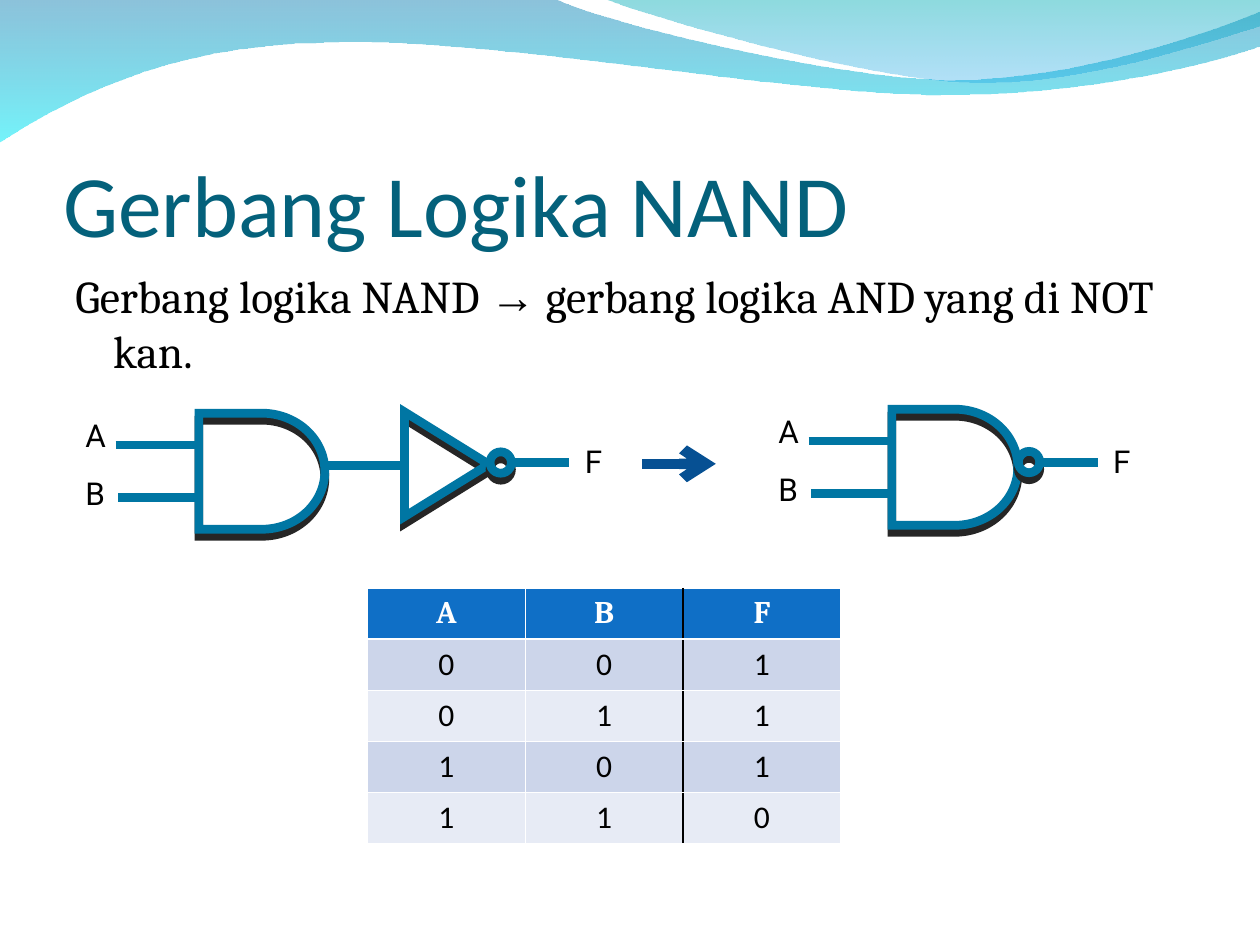
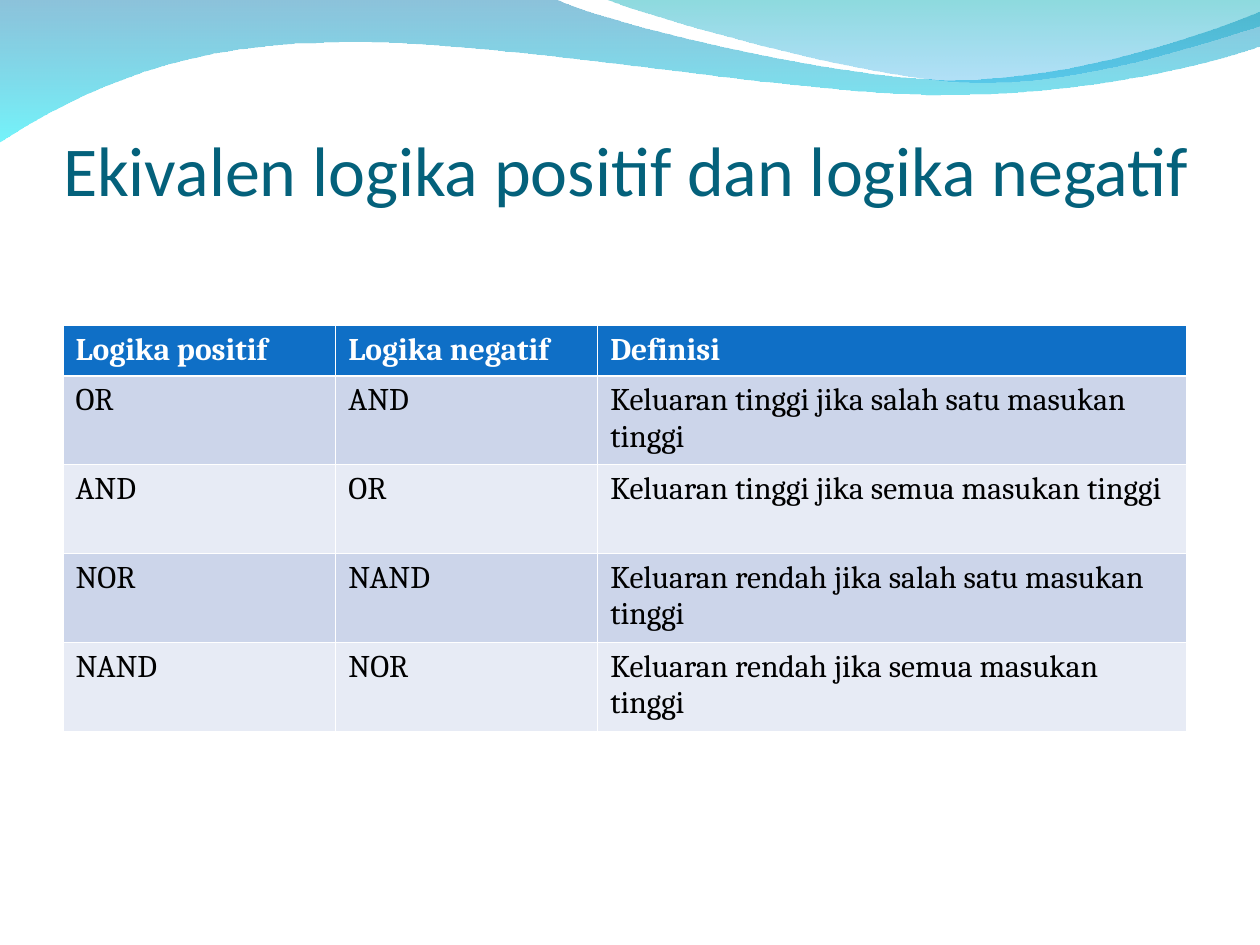
"""Build two slides on the NAND gate and on equivalent positive and negative logic."""
from lxml.etree import SubElement
from pptx import Presentation
from pptx.dml.color import RGBColor
from pptx.enum.shapes import MSO_CONNECTOR, MSO_SHAPE
from pptx.enum.text import MSO_ANCHOR, MSO_AUTO_SIZE, PP_ALIGN
from pptx.oxml.ns import qn
from pptx.util import Cm, Pt

STRAIGHT = MSO_CONNECTOR.STRAIGHT
DELAY, ELLIPSE = MSO_SHAPE.FLOWCHART_DELAY, MSO_SHAPE.OVAL
TRIANGLE = MSO_SHAPE.ISOSCELES_TRIANGLE
BOTTOM = MSO_ANCHOR.BOTTOM
NO_FIT, GROW = MSO_AUTO_SIZE.NONE, MSO_AUTO_SIZE.SHAPE_TO_FIT_TEXT
LEFT, CENTER = PP_ALIGN.LEFT, PP_ALIGN.CENTER

TITLE_COLOR, GATE_COLOR, SHADOW_COLOR = "04617B", "0076A3", "262626"
ARROW_COLOR, HEADER_COLOR = "065093", "0F6FC6"
BAND_COLORS = ["E7EBF5", "CCD5EA"]
BLACK, WHITE = "000000", "FFFFFF"


def rgb(value):
    """Turn a hex string into a colour."""
    return RGBColor.from_string(value)


def write(para, text, size=18, font="Cambria", color=BLACK, bold=False, align=LEFT):
    """Add one formatted run to a paragraph."""
    para.alignment = align
    span = para.add_run()
    span.text = text
    span.font.size = Pt(size)
    span.font.name = font
    span.font.bold = bold
    span.font.color.rgb = rgb(color)


deck = Presentation()
deck.slide_width, deck.slide_height = Cm(25.4), Cm(19.05)
layout = deck.slide_layouts[5]
pages = []
for text, size, height in [
    ("Gerbang Logika NAND", 50, 3.18),
    ("Ekivalen logika positif dan logika negatif", 40, 2.28),
]:
    page = deck.slides.add_slide(layout)
    title = page.shapes.title
    title.left, title.top, title.width, title.height = Cm(1.27), Cm(1.96), Cm(22.86), Cm(height)
    frame = title.text_frame
    frame.auto_size, frame.vertical_anchor = NO_FIT, BOTTOM
    frame.margin_left = frame.margin_right = frame.margin_bottom = 0
    frame.margin_top = Cm(0.13)
    write(frame.paragraphs[0], text, size=size, font="Calibri", color=TITLE_COLOR)
    pages.append(page)
nand_page, logic_page = pages

# Each wave is a list of steps in cm: two numbers make a line, six a Bézier curve.
waves = [
    ([(0, -0.03), (11.18, -0.03), (12.09, 0.43, 16.87, 1.6, 19.25, 1.6),
      (21.67, 1.6, 24.33, 0.66, 25.4, 0.23), (25.43, 0.91),
      (24.97, 1.12, 22.1, 1.93, 18.95, 1.91), (15.8, 1.91, 9.7, 0.71, 6.53, 0.86),
      (3.28, 0.89, 1.17, 2.11, -0.03, 2.87)],
     [("0079AF", 45), ("00EBF8", 55)]),
    ([(12.17, -0.03), (12.93, 0.28, 17.32, 1.57, 19.53, 1.65),
      (21.74, 1.75, 24.41, 0.81, 25.4, 0.53), (25.4, 0)],
     [("00ADB6", 45), ("009BE5", 30)]),
]
for position, (steps, stops) in enumerate(waves, start=2):
    corners = [(Cm(step[-2]), Cm(step[-1])) for step in steps]
    builder = nand_page.shapes.build_freeform(*corners[0])
    builder.add_line_segments(corners[1:], close=True)
    wave = builder.convert_to_shape()
    segments = list(wave._element.spPr.iter(qn("a:lnTo")))
    for segment, step in zip(segments, steps[1:]):
        if len(step) == 6:
            curve = SubElement(segment.getparent(), qn("a:cubicBezTo"))
            for x, y in zip(step[::2], step[1::2]):
                SubElement(curve, qn("a:pt"), x=str(Cm(x) - wave.left), y=str(Cm(y) - wave.top))
            segment.getparent().replace(segment, curve)
    wave.shadow.inherit = False
    wave.line.fill.background()
    wave.fill.gradient()
    wave.fill.gradient_angle = 270
    for stop, (color, opacity) in zip(wave.fill.gradient_stops, stops):
        stop.color.rgb = rgb(color)
    for node, (color, opacity) in zip(wave._element.spPr.iter(qn("a:srgbClr")), stops):
        SubElement(node, qn("a:alpha"), val=str(opacity * 1000))
    layout.shapes._spTree.insert(position, wave._element)

box = nand_page.shapes.add_textbox(Cm(1.27), Cm(5.28), Cm(22.86), Cm(12.19))
box.text_frame.word_wrap = True
para = box.text_frame.paragraphs[0]
para._p.get_or_add_pPr().set("marL", str(Cm(0.76)))
para._p.get_or_add_pPr().set("indent", str(Cm(-0.76)))
write(para, "Gerbang logika NAND ", size=26)
write(para, "→", size=26, font="Arial")
write(para, " gerbang logika AND yang di NOT kan.", size=26)

and_not = nand_page.shapes.add_group_shape().shapes
nand = nand_page.shapes.add_group_shape().shapes
symbols = [(and_not, TRIANGLE, 7.95, 8.51, 2.11, 1.7, 90)]
wires = [
    (and_not, 6.55, 8.15, 9.39, GATE_COLOR, 5),
    (nand_page.shapes, 12.95, 14.43, 9.35, ARROW_COLOR, 6),
]
labels = []
for circuit, gate_x, gate_y, bubble_x, bubble_y in [
    (and_not, 4.01, 8.33, 9.88, 9.11),
    (nand, 17.98, 8.25, 20.53, 9.1),
]:
    symbols += [
        (circuit, DELAY, gate_x, gate_y, 2.54, 2.34, 0),
        (circuit, ELLIPSE, bubble_x, bubble_y, 0.43, 0.43, 0),
    ]
    wires += [
        (circuit, gate_x - 1.68, gate_x, gate_y + 0.64, GATE_COLOR, 5),
        (circuit, gate_x - 1.63, gate_x, gate_y + 1.7, GATE_COLOR, 5),
        (circuit, bubble_x + 0.43, bubble_x + 1.6, bubble_y + 0.22, GATE_COLOR, 5),
    ]
    labels += [
        (circuit, "A", gate_x - 2.54, gate_y - 0.06),
        (circuit, "B", gate_x - 2.54, gate_y + 1.11),
        (circuit, "F", bubble_x + 1.66, bubble_y - 0.32),
    ]

for shapes, kind, x, y, width, height, rotation in symbols:
    symbol = shapes.add_shape(kind, Cm(x), Cm(y), Cm(width), Cm(height))
    symbol.rotation = rotation
    symbol.fill.background()
    symbol.line.color.rgb = rgb(GATE_COLOR)
    symbol.line.width = Pt(5)
    symbol.shadow.inherit = False
    SubElement(symbol._element.spPr.find(qn("a:ln")), qn("a:miter"), lim="800000")
    effects = symbol._element.spPr.find(qn("a:effectLst"))
    shadow = SubElement(effects, qn("a:outerShdw"), blurRad="0", dist=str(Pt(4)),
                        dir="5400000", algn="ctr", rotWithShape="0")
    SubElement(shadow, qn("a:srgbClr"), val=SHADOW_COLOR)

for shapes, start, end, y, color, width in wires:
    wire = shapes.add_connector(STRAIGHT, Cm(start), Cm(y), Cm(end), Cm(y))
    wire.line.color.rgb = rgb(color)
    wire.line.width = Pt(width)
    properties = wire._element.spPr
    SubElement(properties, qn("a:effectLst"))
    if color == ARROW_COLOR:
        SubElement(properties.find(qn("a:ln")), qn("a:tailEnd"), type="arrow")

for shapes, text, x, y in labels:
    label = shapes.add_textbox(Cm(x), Cm(y), Cm(0.84 if text == "F" else 0.91), Cm(1.02))
    label.text_frame.word_wrap = False
    label.text_frame.auto_size = GROW
    write(label.text_frame.paragraphs[0], text, font="Roboto")

truth_rows = ["ABF", "001", "011", "101", "110"]
logic_rows = [
    ("Logika positif", "Logika negatif", "Definisi"),
    ("OR", "AND", "Keluaran tinggi jika salah satu masukan tinggi"),
    ("AND", "OR", "Keluaran tinggi jika semua masukan tinggi"),
    ("NOR", "NAND", "Keluaran rendah jika salah satu masukan tinggi"),
    ("NAND", "NOR", "Keluaran rendah jika semua masukan tinggi"),
]
for page, rows, left, top, widths, row_height, body_font, align, divider in [
    (nand_page, truth_rows, 7.41, 11.86, [3.18] * 3, 1.03, "Calibri", CENTER, 2),
    (logic_page, logic_rows, 1.27, 6.56, [5.5, 5.28, 11.86], 1.79, "Cambria", LEFT, None),
]:
    heights = [1.02] + [row_height] * (len(rows) - 1)
    table = page.shapes.add_table(len(rows), len(widths), Cm(left), Cm(top),
                                  Cm(sum(widths)), Cm(sum(heights))).table
    for column, width in zip(table.columns, widths):
        column.width = Cm(width)
    for row_index, values in enumerate(rows):
        table.rows[row_index].height = Cm(heights[row_index])
        header = row_index == 0
        for column_index, value in enumerate(values):
            cell = table.cell(row_index, column_index)
            thick = {"a:lnB": header, "a:lnT": row_index == 1}
            dark = {"a:lnL": column_index == divider,
                    "a:lnR": column_index + 1 == divider}
            for side in ("a:lnL", "a:lnR", "a:lnT", "a:lnB"):
                weight = 1.47 if thick.get(side) or dark.get(side) else 0.45
                border = SubElement(cell._tc.get_or_add_tcPr(), qn(side), w=str(Pt(weight)))
                fill = SubElement(border, qn("a:solidFill"))
                SubElement(fill, qn("a:srgbClr"), val=BLACK if dark.get(side) else WHITE)
            cell.fill.solid()
            cell.fill.fore_color.rgb = rgb(HEADER_COLOR if header else BAND_COLORS[row_index % 2])
            write(cell.text_frame.paragraphs[0], value, bold=header, align=align,
                  font="Cambria" if header else body_font, color=WHITE if header else BLACK)

deck.save("out.pptx")
